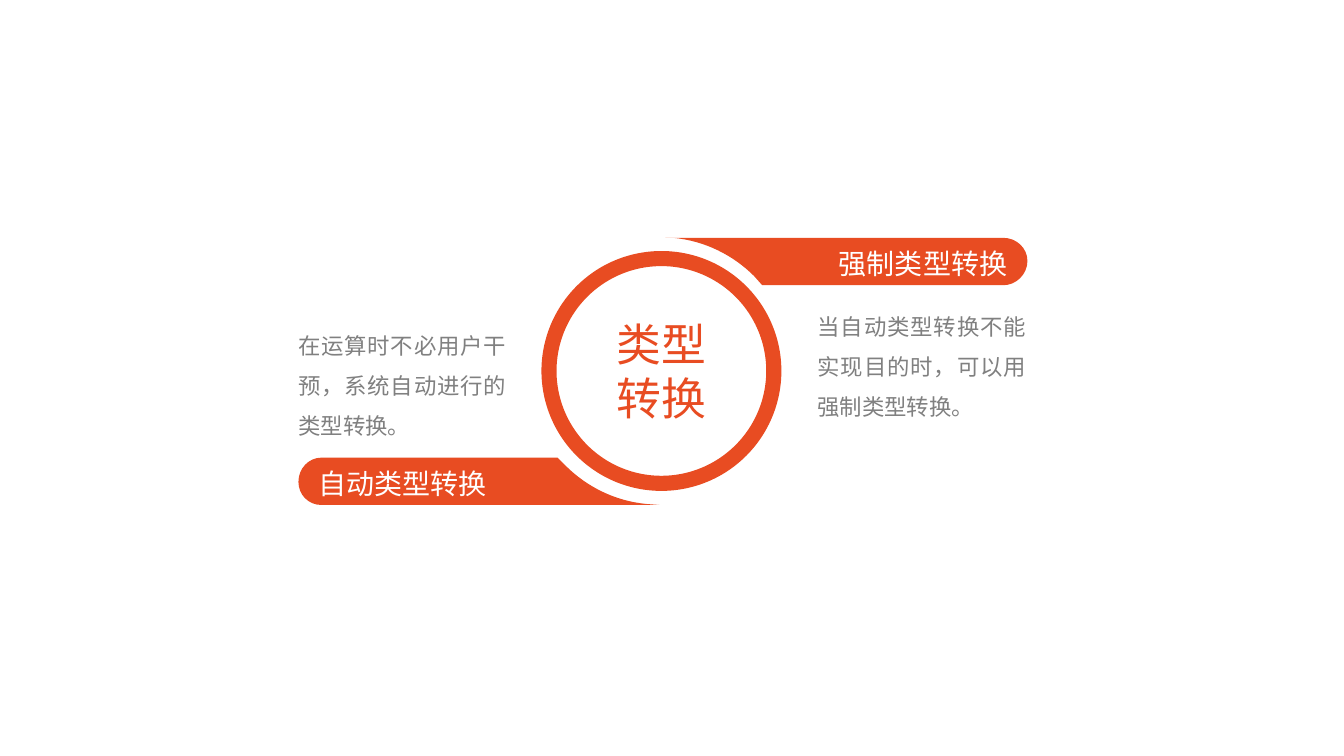
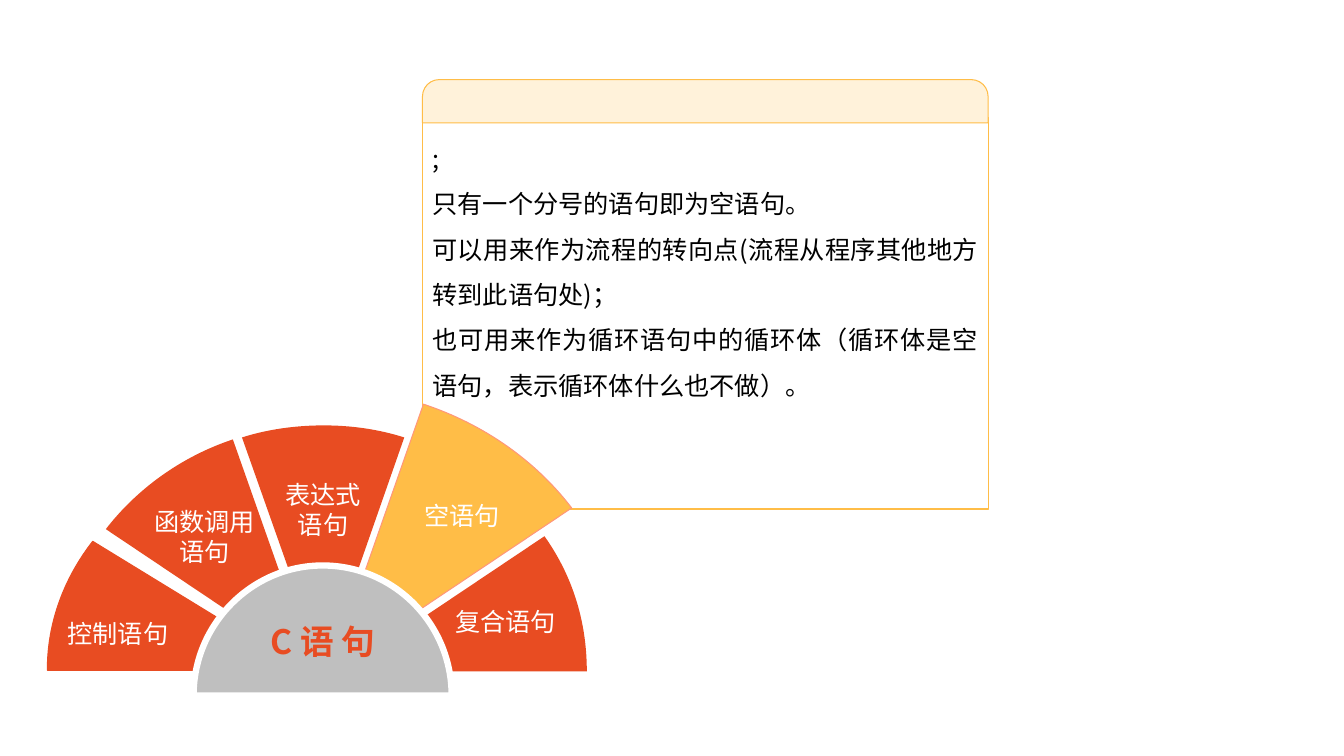
from lxml import etree
from pptx import Presentation
from pptx.dml.color import RGBColor
from pptx.enum import shapes, text
from pptx.oxml import ns
from pptx.util import Inches, Pt

FONT = "Noto Sans CJK SC"
ORANGE = RGBColor(0xE8, 0x4C, 0x22)
AMBER = RGBColor(0xFF, 0xBD, 0x47)
CREAM = RGBColor(0xFF, 0xF2, 0xDA)
CORAL = RGBColor(0xFF, 0x97, 0x7A)
SILVER = RGBColor(0xBF, 0xBF, 0xBF)
GRAY = RGBColor(0x80, 0x80, 0x80)
WHITE = RGBColor(0xFF, 0xFF, 0xFF)
BLACK = RGBColor(0, 0, 0)

LEFT, CENTER = text.PP_ALIGN.LEFT, text.PP_ALIGN.CENTER
RIGHT, JUSTIFY = text.PP_ALIGN.RIGHT, text.PP_ALIGN.JUSTIFY
TOP, MIDDLE, BOTTOM = text.MSO_ANCHOR.TOP, text.MSO_ANCHOR.MIDDLE, text.MSO_ANCHOR.BOTTOM

RING = (5.37, 2.49, 2.38, 2.38)
RING_LINES = ["类型", "转换"]
BANNERS = [
    ("强制类型转换", RIGHT,
     [(6.6, 2.36), (9.95, 2.36),
      (10.08, 2.36, 10.19, 2.46, 10.19, 2.59),
      (10.19, 2.72, 10.08, 2.83, 9.95, 2.83),
      (7.56, 2.83), (7.48, 2.74),
      (7.27, 2.53, 6.99, 2.39, 6.68, 2.36)]),
    ("自动类型转换", LEFT,
     [(3.19, 4.54), (5.53, 4.54), (5.61, 4.62),
      (5.82, 4.83, 6.1, 4.97, 6.41, 5.0),
      (6.54, 5.01), (3.19, 5.01),
      (3.06, 5.01, 2.96, 4.91, 2.96, 4.78),
      (2.96, 4.65, 3.06, 4.54, 3.19, 4.54)]),
]
NOTES = [
    ("在运算时不必用户干预，系统自动进行的类型转换。",
     (2.96, 2.18, 2.26, 2.34), BOTTOM, (0, 0.16, 0.2, 0.16)),
    ("当自动类型转换不能实现目的时，可以用强制类型转换。",
     (7.91, 2.81, 2.27, 1.89), TOP, (0.2, 0.16, 0, 0.16)),
]

PANEL_LINES = [
    ";",
    "只有一个分号的语句即为空语句。",
    "可以用来作为流程的转向点(流程从程序其他地方转到此语句处)；",
    "也可用来作为循环语句中的循环体（循环体是空语句，表示循环体什么也不做）。",
]
PANEL = (4.19, 1.17, 5.61, 3.88)
PANEL_HEADER = (4.19, 0.79, 5.61, 0.43)

BACK_WEDGES = [
    (["表达式", "语句"],
     [(4.01, 4.34), (3.76, 4.26, 3.49, 4.22, 3.21, 4.22),
      (2.93, 4.22, 2.65, 4.26, 2.4, 4.34), (3.21, 6.63)],
     ORANGE, None, CENTER, (0.1, 0.05, 0.1, 0.79)),
    (["函数调用", "语句"],
     [(2.31, 4.36), (1.8, 4.53, 1.36, 4.85, 1.05, 5.25), (3.11, 6.63)],
     ORANGE, None, CENTER, (0.1, 0.05, 0.2, 0.39)),
]
FRONT_WEDGES = [
    (["控制语句"],
     [(0.47, 6.65), (3.01, 6.65), (0.92, 5.37),
      (0.64, 5.73, 0.47, 6.17, 0.47, 6.64)],
     ORANGE, ORANGE, JUSTIFY, (0.2, 0.59, 0.1, 0.05)),
    (["空语句"],
     [(5.67, 5.04), (5.31, 4.57, 4.8, 4.21, 4.2, 4.01), (3.28, 6.64)],
     AMBER, CORAL, CENTER, (0.31, 0.05, 0.1, 0.47)),
    (["复合语句"],
     [(3.4, 6.66), (5.82, 6.66), (5.82, 6.15, 5.67, 5.7, 5.4, 5.32)],
     ORANGE, None, CENTER, (0.91, 0.39, 0.1, 0.05)),
]
HUB_TEXT = "C 语 句"
HUB_OUTLINE = [(4.48, 6.9), (4.48, 6.19, 3.91, 5.61, 3.2, 5.61),
               (2.5, 5.61, 1.92, 6.19, 1.92, 6.9)]


def paint(sp, fill, line=None, width=0.75):
    sp.shadow.inherit = False
    sp.fill.solid()
    sp.fill.fore_color.rgb = fill
    if line is None:
        sp.line.fill.background()
    else:
        sp.line.color.rgb = line
        sp.line.width = Pt(width)
    return sp


def add_preset(s, kind, box, fill, line=None):
    return paint(s.shapes.add_shape(kind, *map(Inches, box)), fill, line)


def add_outline(s, steps, fill, line=None, width=0.75):
    corners = [tuple(map(Inches, step[-2:])) for step in steps]
    builder = s.shapes.build_freeform(*corners[0])
    builder.add_line_segments(corners[1:], close=True)
    sp = builder.convert_to_shape()
    segments = list(sp._element.iter(ns.qn("a:lnTo")))
    for segment, step in zip(segments, steps[1:]):
        if len(step) == 6:
            segment.tag = ns.qn("a:cubicBezTo")
            for i, (x, y) in enumerate((step[:2], step[2:4])):
                pt = etree.Element(ns.qn("a:pt"))
                pt.set("x", str(Inches(x) - sp.left))
                pt.set("y", str(Inches(y) - sp.top))
                segment.insert(i, pt)
    return paint(sp, fill, line, width)


def write(sp, lines, size, color, align, insets, anchor=MIDDLE, spacing=None, bold=False):
    tf = sp.text_frame
    frame = {"word_wrap": True, "vertical_anchor": anchor}
    sides = ("margin_left", "margin_top", "margin_right", "margin_bottom")
    frame.update(zip(sides, map(Inches, insets)))
    for name, value in frame.items():
        setattr(tf, name, value)
    for i, line in enumerate(lines):
        p = tf.paragraphs[0] if i == 0 else tf.add_paragraph()
        p.alignment = align
        p.line_spacing = spacing
        r = p.add_run()
        r.text = line
        for name, value in {"size": Pt(size), "name": FONT, "bold": bold}.items():
            setattr(r.font, name, value)
        r.font.color.rgb = color
        ea = etree.SubElement(r.font._element, ns.qn("a:ea"))
        ea.set("typeface", FONT)


def add_wedges(s, wedges):
    for lines, outline, fill, line, align, insets in wedges:
        sp = add_outline(s, outline, fill, line)
        write(sp, lines, 18, WHITE, align, insets)


def build_conversion(s):
    for label, align, outline in BANNERS:
        sp = add_outline(s, outline, ORANGE)
        write(sp, [label], 20, WHITE, align, (0.2, 0.05, 0.2, 0.05), spacing=1.1)

    ring = add_preset(s, shapes.MSO_SHAPE.DONUT, RING, ORANGE)
    ring.adjustments[0] = 0.063
    write(ring, RING_LINES, 32, ORANGE, CENTER, (0, 0, 0, 0))

    for note, box, anchor, insets in NOTES:
        sp = s.shapes.add_textbox(*map(Inches, box))
        write(sp, [note], 16, GRAY, JUSTIFY, insets, anchor, 1.5)


def build_statements(s):
    add_wedges(s, BACK_WEDGES)
    panel = add_preset(s, shapes.MSO_SHAPE.RECTANGLE, PANEL, WHITE, AMBER)
    write(panel, PANEL_LINES, 18, BLACK, JUSTIFY, (0.1,) * 4, TOP, 1.5)
    header = add_preset(s, shapes.MSO_SHAPE.ROUND_2_SAME_RECTANGLE,
                        PANEL_HEADER, CREAM, AMBER)
    header.adjustments[0] = 0.387
    add_wedges(s, FRONT_WEDGES)
    hub = add_outline(s, HUB_OUTLINE, SILVER, WHITE, 4.5)
    write(hub, [HUB_TEXT], 24, ORANGE, CENTER, (0, 0.2, 0, 0), bold=True)


def main():
    prs = Presentation()
    prs.slide_width, prs.slide_height = Inches(13.33), Inches(7.5)
    for build in (build_conversion, build_statements):
        build(prs.slides.add_slide(prs.slide_layouts[6]))
    prs.save("out.pptx")


if __name__ == "__main__":
    main()
